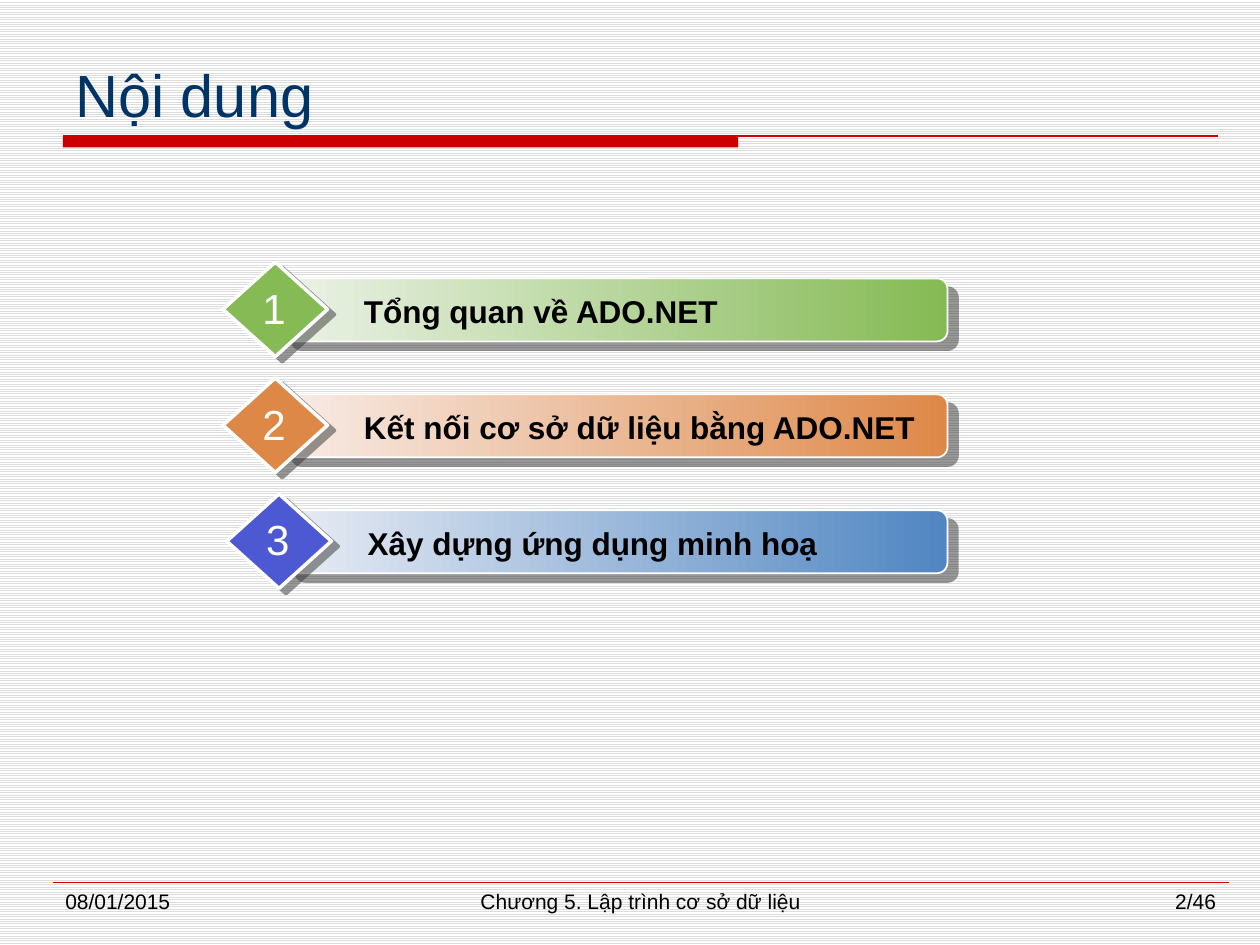
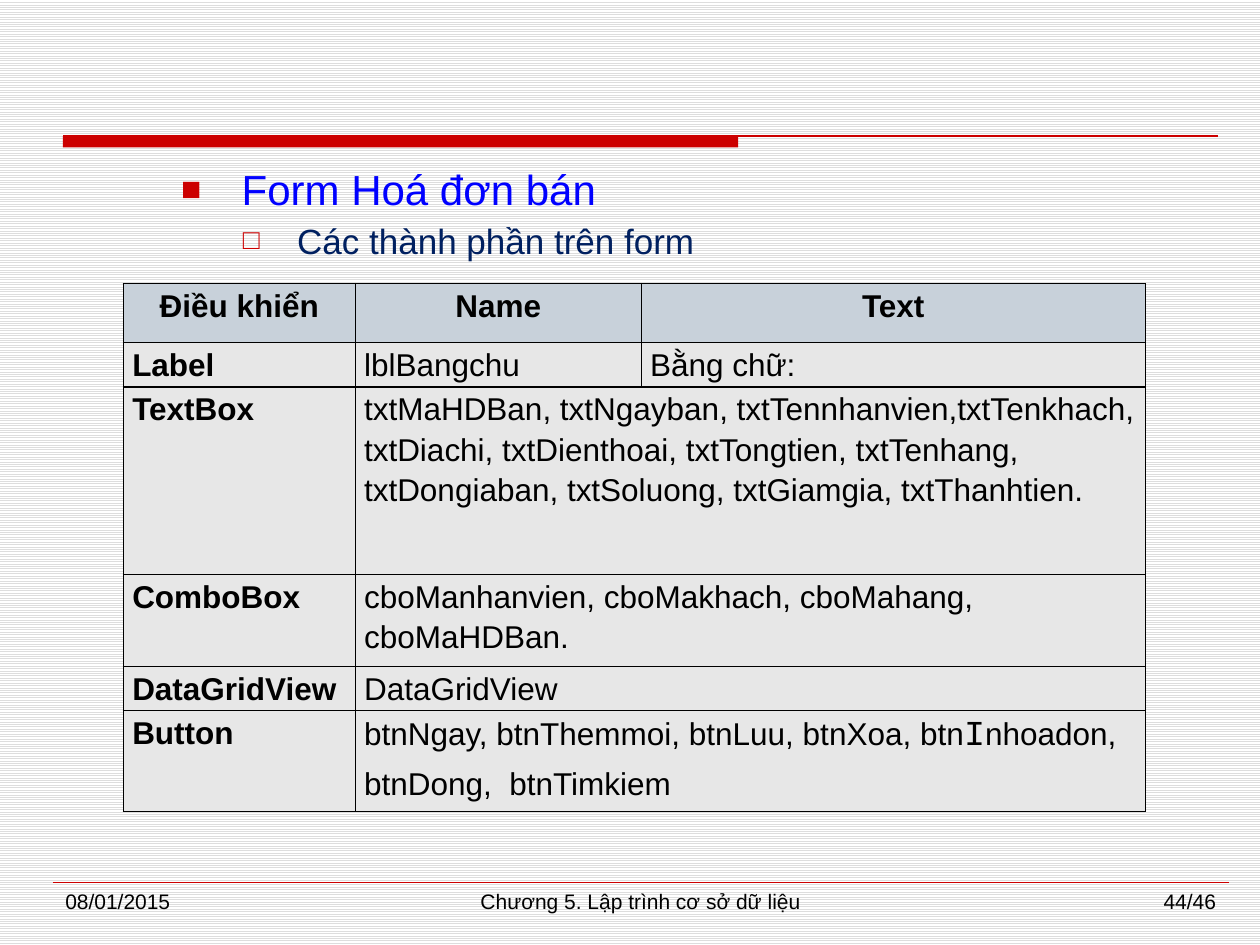
"""Builds two lecture slides: a numbered agenda and a table of form controls."""
from lxml.etree import SubElement as Sub
from pptx import Presentation
from pptx.dml.color import RGBColor as RGB
from pptx.enum.dml import MSO_PATTERN as Pat
from pptx.enum.shapes import MSO_CONNECTOR as Con, MSO_SHAPE as Shp
from pptx.enum.text import MSO_ANCHOR as Anc, PP_ALIGN as Al
from pptx.oxml.ns import qn
from pptx.util import Inches, Pt

HUE = {
    "red": "CC0000", "navy": "003366", "deep": "002060", "blue": "0000FF",
    "black": "000000", "white": "FFFFFF", "rule": "DDDDDD", "shade": "333333",
    "head": "C8D1DA", "cell": "E7E7E7",
}


def write(para, text, size, hue="black", bold=False, face="Arial"):
    run = para.add_run()
    run.text = text
    for key, val in {"size": Pt(size), "bold": bold, "name": face}.items():
        setattr(run.font, key, val)
    run.font.color.rgb = RGB.from_string(HUE[hue])


def label(slide, spot, text, size, hue="black", align=Al.LEFT, bold=False, anchor=Anc.TOP, wrap=True):
    frame = slide.shapes.add_textbox(*map(Inches, spot)).text_frame
    for key, val in {"word_wrap": wrap, "vertical_anchor": anchor}.items():
        setattr(frame, key, val)
    frame.paragraphs[0].alignment = align
    write(frame.paragraphs[0], text, size, hue, bold)
    return frame


deck = Presentation()
deck.slide_width, deck.slide_height = Inches(10), Inches(7.5)
slides = []
red = RGB.from_string(HUE["red"])
for page in ("2/46", "44/46"):
    slide = deck.slides.add_slide(deck.slide_layouts[6])
    slides.append(slide)
    back = slide.background.fill
    back.patterned()
    back.pattern = Pat.LIGHT_HORIZONTAL
    back.fore_color.rgb = RGB.from_string(HUE["rule"])
    back.back_color.rgb = RGB.from_string(HUE["white"])

    band = slide.shapes.add_shape(Shp.RECTANGLE, *map(Inches, (0.5, 1.08, 5.36, 0.09)))
    band.shadow.inherit = False
    band.fill.solid()
    band.fill.fore_color.rgb = red
    band.line.fill.background()
    for left, right, top, width in ((0.5, 9.67, 1.08, 1.5), (0.42, 9.75, 7, 0.25)):
        rule = slide.shapes.add_connector(Con.STRAIGHT, *map(Inches, (left, top, right, top)))
        rule.line.color.rgb = red
        rule.line.width = Pt(width)
        Sub(rule._element.spPr, qn("a:effectLst"))

    for left, width, text, align in (
        (0.42, 2.17, "08/01/2015", Al.LEFT),
        (2.92, 4.33, "Chương 5. Lập trình cơ sở dữ liệu", Al.CENTER),
        (7.58, 2.17, page, Al.RIGHT),
    ):
        label(slide, (left, 7, width, 0.35), text, 12, align=align)

plan, form = slides
label(plan, (0.5, 0.33, 9.17, 0.75), "Nội dung", 34, "navy", anchor=Anc.BOTTOM)
items = (
    ("Tổng quan về ADO.NET", "ECF2E8", "85BA54", "85BA54", 0),
    ("Kết nối cơ sở dữ liệu bằng ADO.NET", "F8ECE7", "DE8848", "DE8848", 0),
    ("Xây dựng ứng dụng minh hoạ", "E8ECF4", "5086C2", "4C59D2", 0.03),
)
for num, (text, pale, full, gem, shift) in enumerate(items):
    top = 2.08 + 0.92 * num
    for kind, spot, edge, dist, turn in (
        (Shp.ROUNDED_RECTANGLE, (2.23 + shift, top + 0.13, 5.29 - shift, 0.5), 1, 7.8, 40),
        (Shp.DIAMOND, (1.77 + shift, top, 0.83, 0.75), 2, 5, 37),
    ):
        shape = plan.shapes.add_shape(kind, *map(Inches, spot))
        if kind == Shp.DIAMOND:
            shape.fill.solid()
            shape.fill.fore_color.rgb = RGB.from_string(gem)
        else:
            shape.fill.gradient()
            shape.fill.gradient_angle = 0
            for stop, hue in zip(shape.fill.gradient_stops, (pale, full)):
                stop.color.rgb = RGB.from_string(hue)
        shape.line.color.rgb = RGB.from_string(HUE["white"])
        shape.line.width = Pt(edge)
        shape.shadow.inherit = False
        glow = Sub(shape._element.spPr.find(qn("a:effectLst")), qn("a:outerShdw"),
                   blurRad="0", dist=str(Pt(dist)), dir=str(turn * 60000), algn="ctr", rotWithShape="0")
        Sub(Sub(glow, qn("a:srgbClr"), val=HUE["shade"]), qn("a:alpha"), val="50000")
    label(plan, (2.79 + shift, top + 0.19, 4.73 - shift, 0.4), text, 18, bold=True)
    label(plan, (1.96 + shift, top + 0.11, 0.43, 0.5), str(num + 1), 24, "white", Al.CENTER, wrap=False)

body = label(form, (0.83, 1.25, 8.67, 0.95), "Form Hoá đơn bán", 24, "blue", Al.JUSTIFY)
para = body.add_paragraph()
para.alignment = Al.JUSTIFY
write(para, "Các thành phần trên form", 20, "deep")
marks = ((0.99, -0.48, 3.6, "■"), (1.43, -0.43, 3, "□"))
for para, (left, hang, gap, mark) in zip(body.paragraphs, marks):
    para.space_before = Pt(gap)
    prop = para._p.get_or_add_pPr()
    for key, val in {"marL": left, "indent": hang}.items():
        prop.set(key, str(Inches(val)))
    Sub(Sub(prop, qn("a:buClr")), qn("a:srgbClr"), val=HUE["red"])
    Sub(prop, qn("a:buSzPct"), val="80000")
    Sub(prop, qn("a:buFont"), typeface="Arial")
    Sub(prop, qn("a:buChar"), char=mark)

rows = (
    (0.47, "Điều khiển", "Name", "Text"),
    (0.35, "Label", "lblBangchu", "Bằng chữ:"),
    (1.49, "TextBox", "txtMaHDBan, txtNgayban, txtTennhanvien,txtTenkhach, txtDiachi, txtDienthoai, "
     "txtTongtien, txtTenhang, txtDongiaban, txtSoluong, txtGiamgia, txtThanhtien."),
    (0.73, "ComboBox", "cboManhanvien, cboMakhach, cboMahang, cboMaHDBan."),
    (0.35, "DataGridView", "DataGridView"),
    (0.8, "Button", "btnNgay, btnThemmoi, btnLuu, btnXoa, btn|I|nhoadon,\nbtnDong,  btnTimkiem"),
)
grid = form.shapes.add_table(len(rows), 3, *map(Inches, (0.98, 2.25, 8.11, 4.18))).table
for col, width in zip(grid.columns, (1.84, 2.27, 4)):
    col.width = Inches(width)
pad = {"margin_left": 0.07, "margin_right": 0.07, "margin_top": 0, "margin_bottom": 0}
for r, (high, *texts) in enumerate(rows):
    grid.rows[r].height = Inches(high)
    if len(texts) == 2:
        grid.cell(r, 1).merge(grid.cell(r, 2))
    for c in range(3):
        cell = grid.cell(r, c)
        for key, val in pad.items():
            setattr(cell, key, Inches(val))
        prop = cell._tc.get_or_add_tcPr()
        for side in "LRTB":
            line = Sub(prop, qn("a:ln" + side), w=str(Pt(1)))
            Sub(Sub(line, qn("a:solidFill")), qn("a:srgbClr"), val=HUE["black"])
        cell.fill.solid()
        cell.fill.fore_color.rgb = RGB.from_string(HUE["cell" if r else "head"])
        if c >= len(texts):
            continue
        for n, text in enumerate(texts[c].split("\n")):
            para = cell.text_frame.add_paragraph() if n else cell.text_frame.paragraphs[0]
            align = Al.CENTER if r == 0 else Al.LEFT if c and r in (2, 3) else Al.JUSTIFY
            look = {"alignment": align, "line_spacing": 1.15, "space_after": Pt(3)}
            for key, val in look.items():
                setattr(para, key, val)
            for k, part in enumerate(text.split("|")):
                size, face = (20, "Courier New") if k == 1 else (18, "Arial")
                write(para, part, size, bold=r == 0 or c == 0, face=face)

deck.save("out.pptx")
